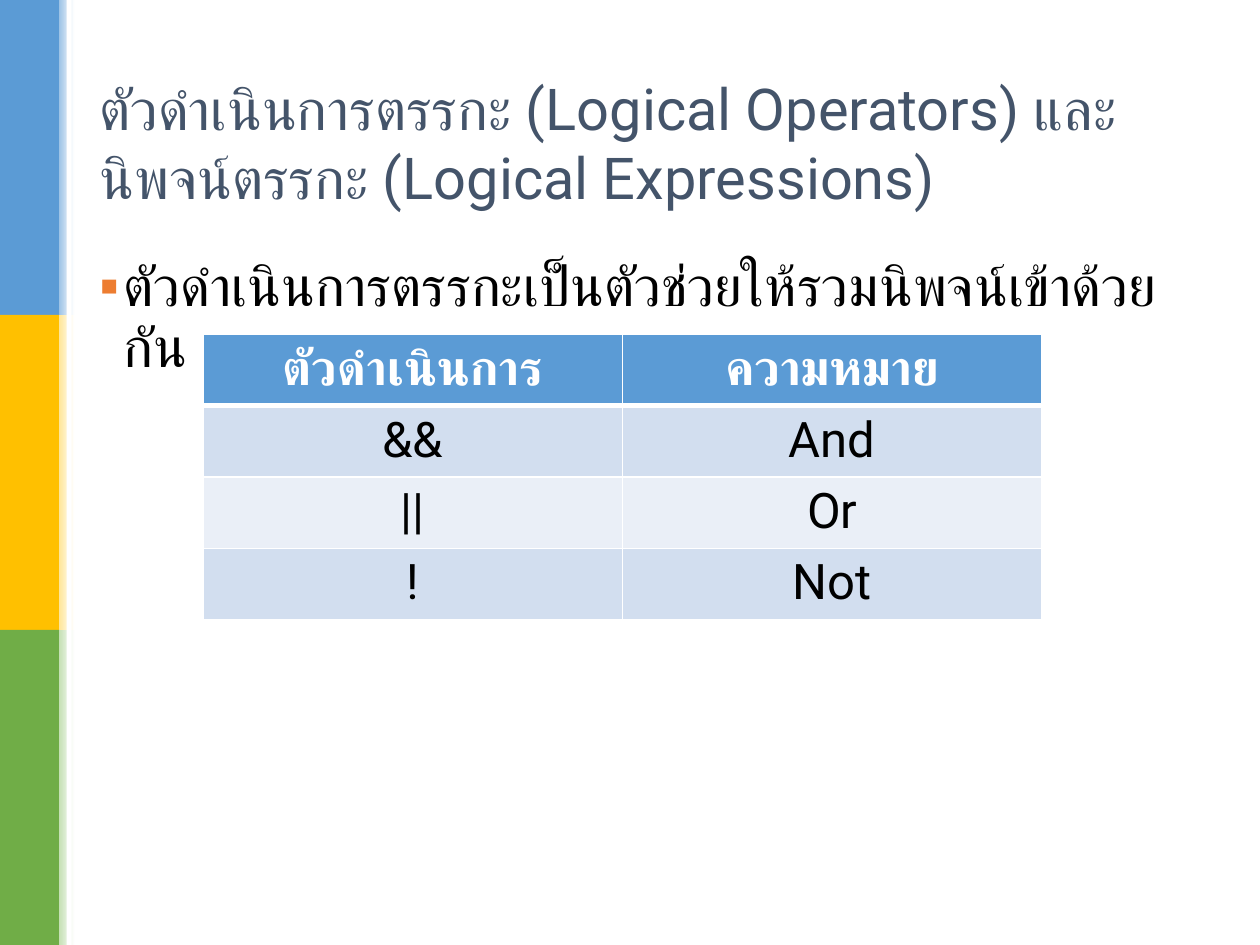
from lxml.etree import SubElement
from pptx import Presentation
from pptx.dml.color import RGBColor
from pptx.enum.shapes import MSO_SHAPE as Shape
from pptx.enum.text import MSO_ANCHOR as Anchor, PP_ALIGN as Align
from pptx.oxml.ns import qn
from pptx.util import Inches, Pt

COLORS = {
    "blue": "5B9BD5", "yellow": "FFC000", "green": "70AD47",
    "light_blue": "9DC3E6", "light_yellow": "FFE699", "light_green": "C5E0B4",
    "white": "FFFFFF", "black": "000000", "title": "44546A", "bullet": "ED7D31",
    "band_dark": "D2DEEF", "band_light": "EAEFF7",
}


def rgb(name):
    """Return the named colour."""
    return RGBColor.from_string(COLORS[name])


class SlideBuilder:
    """Holds the style and the current slide."""

    font = "Roboto"

    def __init__(self, slide):
        self.slide = slide

    def bar(self, left, top, width, height, color, fade_to=None):
        """Add a plain rectangle, optionally fading to a second colour."""
        shape = self.slide.shapes.add_shape(
            Shape.RECTANGLE, *map(Inches, (left, top, width, height)))
        shape.shadow.inherit = False
        shape.line.fill.background()
        if fade_to:
            shape.fill.gradient()
            shape.fill.gradient_angle = 0
            for stop, name in zip(shape.fill.gradient_stops, (color, fade_to)):
                stop.color.rgb = rgb(name)
        else:
            shape.fill.solid()
            shape.fill.fore_color.rgb = rgb(color)

    def style(self, paragraph, size, color, bold=False):
        """Format all runs, for Latin and Thai text alike."""
        for run in paragraph.runs:
            run.font.name = self.font
            run.font.size = Pt(size)
            run.font.bold = bold
            run.font.color.rgb = rgb(color)
            SubElement(run.font._element, qn("a:cs"), typeface=self.font)

    def text(self, left, top, width, height, text, size, color, anchor=Anchor.TOP):
        """Add a wrapping text box and return its paragraph."""
        box = self.slide.shapes.add_textbox(
            *map(Inches, (left, top, width, height)))
        frame = box.text_frame
        frame.word_wrap = True
        frame.vertical_anchor = anchor
        frame.text = text
        paragraph = frame.paragraphs[0]
        self.style(paragraph, size, color)
        return paragraph

    def bullet(self, paragraph, indent, color, character="▪"):
        """Give a paragraph a coloured bullet with a hanging indent."""
        properties = paragraph._p.get_or_add_pPr()
        properties.set("marL", str(Inches(indent)))
        properties.set("indent", str(-Inches(indent)))
        bullet_color = SubElement(properties, qn("a:buClr"))
        SubElement(bullet_color, qn("a:srgbClr"), val=COLORS[color])
        SubElement(properties, qn("a:buFont"), typeface="Arial")
        SubElement(properties, qn("a:buChar"), char=character)

    def borders(self, cell, color, **widths):
        """Draw cell borders; widths are points by side, in L R T B order."""
        properties = cell._tc.get_or_add_tcPr()
        for side, width in widths.items():
            line = SubElement(properties, qn(f"a:ln{side}"), w=str(Pt(width)))
            fill = SubElement(line, qn("a:solidFill"))
            SubElement(fill, qn("a:srgbClr"), val=COLORS[color])

    def table(self, left, top, column_width, heights, rows, size):
        """Add a centred table with a header row and banded rows."""
        columns = len(rows[0])
        table = self.slide.shapes.add_table(
            len(rows), columns, Inches(left), Inches(top),
            Inches(column_width * columns), Inches(sum(heights))).table
        for index, (height, texts) in enumerate(zip(heights, rows)):
            table.rows[index].height = Inches(height)
            header = index == 0
            band = "band_dark" if index % 2 else "band_light"
            for column, text in enumerate(texts):
                cell = table.cell(index, column)
                self.borders(cell, "white", L=1, R=1,
                             T=3 if index == 1 else 1, B=3 if header else 1)
                cell.fill.solid()
                cell.fill.fore_color.rgb = rgb("blue" if header else band)
                cell.text_frame.text = text
                paragraph = cell.text_frame.paragraphs[0]
                paragraph.alignment = Align.CENTER
                self.style(paragraph, size, "white" if header else "black", header)


def main():
    """Build and save the slide."""
    presentation = Presentation()
    presentation.slide_width = Inches(10)
    presentation.slide_height = Inches(7.5)
    builder = SlideBuilder(
        presentation.slides.add_slide(presentation.slide_layouts[6]))

    for index, color in enumerate(("blue", "yellow", "green")):
        top = 2.5 * index
        builder.bar(0, top, 0.47, 2.5, color)
        builder.bar(0.47, top, 0.12, 2.5, f"light_{color}", "white")
    builder.bar(0.53, 0, 0.04, 7.5, "white")

    builder.text(
        0.69, 0.4, 8.62, 1.45,
        "ตัวดำเนินการตรรกะ (Logical Operators) และนิพจน์ตรรกะ (Logical Expressions)",
        33, "title", Anchor.MIDDLE)
    body = builder.text(
        0.69, 2, 8.62, 4.76,
        "ตัวดำเนินการตรรกะเป็นตัวช่วยให้รวมนิพจน์เข้าด้วยกัน", 32, "black")
    body.line_spacing = 0.9
    builder.bullet(body, 0.19, "bullet")

    operators = [("ตัวดำเนินการ", "ความหมาย"),
                 ("&&", "And"), ("||", "Or"), ("!", "Not")]
    builder.table(1.61, 2.65, 3.33, [0.48] + [0.55] * 3, operators, 28)
    presentation.save("out.pptx")


main()
